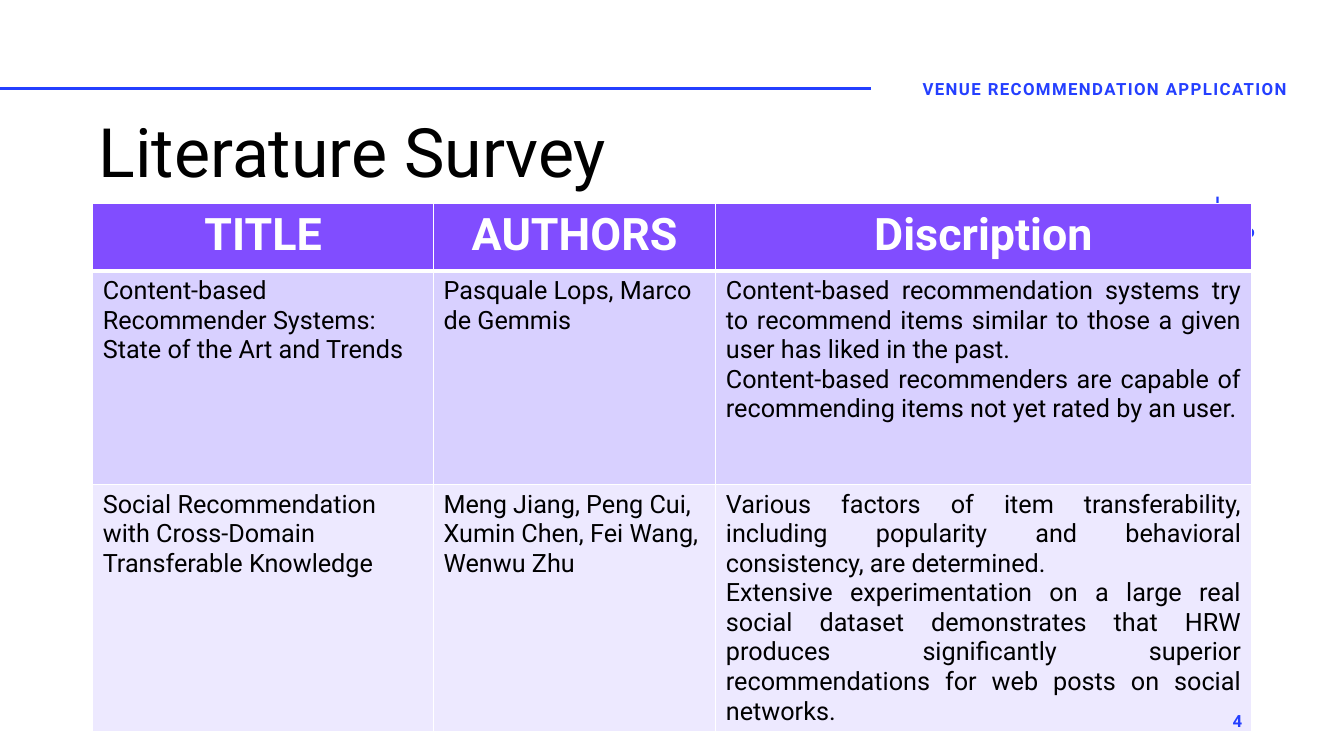
from dataclasses import dataclass

from lxml import etree
from pptx import Presentation
from pptx import util as u
from pptx.dml.color import RGBColor
from pptx.enum import shapes as kinds, text as txt
from pptx.oxml.ns import qn

PX = 9144
BLUE = RGBColor(0x24, 0x3F, 0xFF)
PURPLE = RGBColor(0x81, 0x4D, 0xFF)
LILAC = RGBColor(0xD8, 0xD0, 0xFF)
PALE = RGBColor(0xED, 0xE9, 0xFF)
WHITE = RGBColor(0xFF, 0xFF, 0xFF)
BLACK = RGBColor(0, 0, 0)

ALIGN = txt.PP_ALIGN
ANCHOR = txt.MSO_ANCHOR
SHAPE = kinds.MSO_SHAPE

TITLE = dict(name="Roboto", size=u.Pt(48.6), bold=False)
HEAD = dict(name="Roboto", size=u.Pt(32), bold=True)
BODY = dict(name="Roboto", size=u.Pt(18), bold=False)
LABEL = dict(name="Roboto", size=u.Pt(12), bold=True)


@dataclass
class Box:
    left: int
    top: int
    width: int
    height: int

    def emu(self) -> tuple:
        return tuple(n * PX for n in (self.left, self.top, self.width, self.height))


@dataclass
class Mark:
    kind: int
    box: Box


@dataclass
class Label:
    words: str
    box: Box
    align: int


@dataclass
class Row:
    height: int
    fill: RGBColor
    color: RGBColor
    font: dict
    aligns: tuple
    cells: tuple


MARKS = (
    Mark(SHAPE.OVAL, Box(1234, 226, 10, 10)),
    Mark(SHAPE.CROSS, Box(1200, 195, 15, 15)),
)
LABELS = (
    Label("VENUE RECOMMENDATION APPLICATION", Box(871, 68, 450, 40), ALIGN.CENTER),
    Label("4", Box(942, 695, 300, 40), ALIGN.RIGHT),
)
GRID = Box(92, 202, 1149, 458)
COLS = (338, 280, 531)
MIXED = (ALIGN.LEFT, ALIGN.LEFT, ALIGN.JUSTIFY)
ROWS = (
    Row(67, PURPLE, WHITE, HEAD, (ALIGN.CENTER,) * 3,
        ("TITLE", "AUTHORS", "Discription")),
    Row(212, LILAC, BLACK, BODY, MIXED, (
        "Content-based Recommender Systems: State of the Art and Trends",
        "Pasquale Lops, Marco de Gemmis",
        "Content-based recommendation systems try to recommend items similar "
        "to those a given user has liked in the past.\n"
        "Content-based recommenders are capable of recommending items not yet "
        "rated by an user.")),
    Row(179, PALE, BLACK, BODY, MIXED, (
        "Social Recommendation with Cross-Domain Transferable Knowledge",
        "Meng Jiang, Peng Cui, Xumin Chen, Fei Wang, Wenwu Zhu",
        "Various factors of item transferability, including popularity and "
        "behavioral consistency, are determined.\n"
        "Extensive experimentation on a large real social dataset demonstrates "
        "that HRW produces signiﬁcantly superior recommendations for web posts "
        "on social networks.")),
)


def style(frame, words: str, font: dict, color: RGBColor, align: int) -> None:
    frame.text = words
    for para in frame.paragraphs:
        para.alignment = align
        for run in para.runs:
            for key, value in font.items():
                setattr(run.font, key, value)
            run.font.color.rgb = color


def edge(cell, sides: dict) -> None:
    props = cell._tc.get_or_add_tcPr()
    for spot, (side, width) in enumerate(sides.items()):
        line = etree.Element(qn(f"a:ln{side}"), w=str(u.Pt(width)))
        solid = etree.SubElement(line, qn("a:solidFill"))
        etree.SubElement(solid, qn("a:srgbClr"), val=str(WHITE))
        props.insert(spot, line)


def add_rule(slide) -> None:
    rule = slide.shapes.add_connector(
        kinds.MSO_CONNECTOR.STRAIGHT, 0, 88 * PX, 864 * PX, 88 * PX)
    rule.line.color.rgb = BLUE
    rule.line.width = u.Pt(2)
    etree.SubElement(rule._element.spPr, qn("a:effectLst"))


def add_mark(slide, mark: Mark) -> None:
    shape = slide.shapes.add_shape(mark.kind, *mark.box.emu())
    shape.shadow.inherit = False
    shape.fill.solid()
    shape.fill.fore_color.rgb = BLUE
    shape.line.fill.background()
    if mark.kind == SHAPE.CROSS:
        shape.adjustments[0] = 0.43


def add_title(slide) -> None:
    title = slide.shapes.title
    spots = zip(("left", "top", "width", "height"), Box(88, 108, 677, 88).emu())
    for key, value in spots:
        setattr(title, key, value)
    frame = title.text_frame
    style(frame, "Literature Survey", TITLE, BLACK, ALIGN.LEFT)
    frame.auto_size = txt.MSO_AUTO_SIZE.NONE
    frame.vertical_anchor = ANCHOR.BOTTOM
    frame.paragraphs[0].line_spacing = 0.9


def add_grid(slide) -> None:
    table = slide.shapes.add_table(len(ROWS), len(COLS), *GRID.emu()).table
    for col, width in zip(table.columns, COLS):
        col.width = width * PX
    for r, row in enumerate(ROWS):
        table.rows[r].height = row.height * PX
        sides = dict(L=1, R=1, T=3 if r == 1 else 1, B=3 if r == 0 else 1)
        for c, (words, align) in enumerate(zip(row.cells, row.aligns)):
            cell = table.cell(r, c)
            cell.fill.solid()
            cell.fill.fore_color.rgb = row.fill
            style(cell.text_frame, words, row.font, row.color, align)
            edge(cell, sides)


def add_label(slide, label: Label) -> None:
    frame = slide.shapes.add_textbox(*label.box.emu()).text_frame
    frame.word_wrap = True
    frame.vertical_anchor = ANCHOR.MIDDLE
    style(frame, label.words, LABEL, BLUE, label.align)
    frame.paragraphs[0].runs[0]._r.get_or_add_rPr().set("spc", "100")


def main() -> None:
    deck = Presentation()
    deck.slide_width = 1333 * PX
    deck.slide_height = 750 * PX
    slide = deck.slides.add_slide(deck.slide_layouts.get_by_name("Title Only"))
    add_rule(slide)
    for mark in MARKS:
        add_mark(slide, mark)
    add_title(slide)
    add_grid(slide)
    for label in LABELS:
        add_label(slide, label)
    deck.save("out.pptx")


if __name__ == "__main__":
    main()
